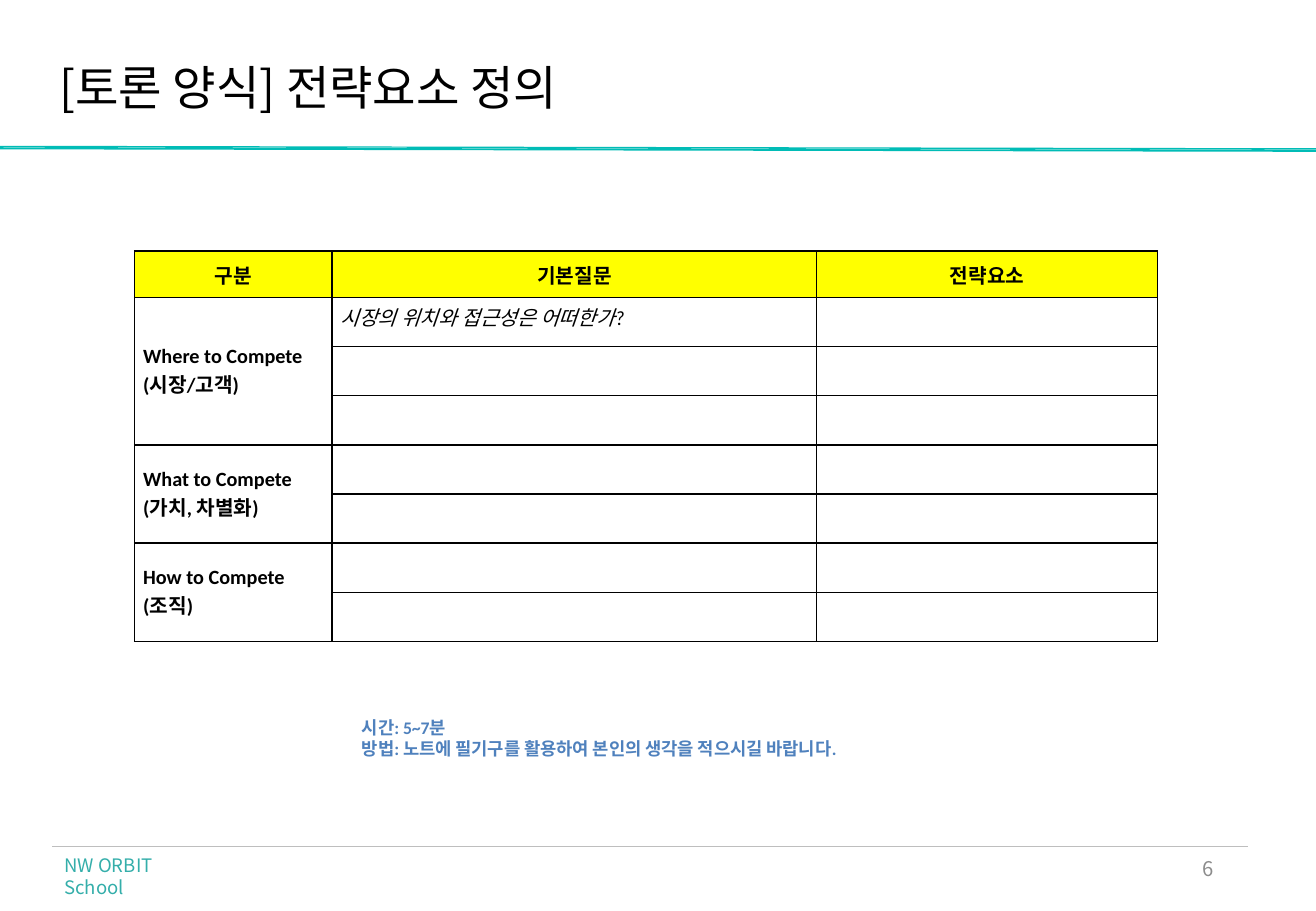
from dataclasses import dataclass

import pptx
import pptx.dml.color
import pptx.enum.shapes
import pptx.enum.text
import pptx.oxml
import pptx.oxml.ns
import pptx.util
from lxml import etree

Pt = pptx.util.Pt
qn = pptx.oxml.ns.qn
PP_ALIGN = pptx.enum.text.PP_ALIGN
MSO_ANCHOR = pptx.enum.text.MSO_ANCHOR
MSO_AUTO_SIZE = pptx.enum.text.MSO_AUTO_SIZE


@dataclass(frozen=True)
class Style:
    size: float
    color: str
    latin: str = "Noto Sans CJK KR"
    east: str = "Noto Sans CJK KR"
    bold: bool = False
    italic: bool = False


@dataclass(frozen=True)
class Theme:
    ribbon: str = "01BCB6"
    rule: str = "BEBEBE"
    border: str = "000000"
    header_fill: str = "FFFF00"
    title: Style = Style(28, "000000")
    footer: Style = Style(11, "34AEAA")
    number: Style = Style(12, "8C8C8C")
    strong: Style = Style(12, "000000", "Calibri", bold=True)
    question: Style = Style(12, "000000", "Calibri", italic=True)
    note: Style = Style(10.5, "4F81BD", "Calibri", "Calibri", bold=True)


@dataclass(frozen=True)
class TextBox:
    lines: tuple[str, ...]
    style: Style
    left: float
    top: float
    width: float
    height: float
    align: PP_ALIGN = PP_ALIGN.LEFT
    anchor: MSO_ANCHOR = MSO_ANCHOR.TOP
    inset: tuple[float, float] = (7.2, 3.6)
    spacing: float = 1.0
    grow: bool = True


@dataclass(frozen=True)
class Group:
    lines: tuple[str, str]
    questions: tuple[str, ...]


THEME = Theme()
WIDTH, HEIGHT = 780, 540
RIBBONS = ((87.3, 88.5, 90, 89), (86.4, 87.1, 88.7, 87.9))
TABLE_LEFT, TABLE_TOP = 79.8, 148.8
COLUMNS = (117.1, 287.2, 202.1)
HEADER_HEIGHT, ROW_HEIGHT = 27.5, 29.15
CELL_INSET = (5.1, 2.9)
HEADERS = ("구분", "기본질문", "전략요소")
GROUPS = (
    Group(("Where to Compete", "(시장/고객)"), ("시장의 위치와 접근성은 어떠한가?", "", "")),
    Group(("What to Compete", "(가치, 차별화)"), ("", "")),
    Group(("How to Compete", "(조직)"), ("", "")),
)
TEXT_BOXES = (
    TextBox(("6",), THEME.number, 550.8, 500.4, 175.7, 28.8,
            PP_ALIGN.RIGHT, MSO_ANCHOR.MIDDLE, grow=False),
    TextBox(("NW ORBIT School",), THEME.footer, 31, 502.6, 101, 20.9),
    TextBox(("[토론 양식] 전략요소 정의",), THEME.title, 35.3, 38.2, 704.2, 30.2,
            inset=(0, 0), spacing=0.9),
    TextBox(("시간: 5~7분", "방법: 노트에 필기구를 활용하여 본인의 생각을 적으시길 바랍니다."),
            THEME.note, 207.4, 421.2, 390.2, 32.4),
)


def rgb(color: str) -> pptx.dml.color.RGBColor:
    return pptx.dml.color.RGBColor.from_string(color)


def write(tf, lines: tuple[str, ...], style: Style,
          align: PP_ALIGN = PP_ALIGN.LEFT, spacing: float = 1.0) -> None:
    for i, line in enumerate(lines):
        p = tf.paragraphs[0] if i == 0 else tf.add_paragraph()
        p.alignment = align
        p.line_spacing = spacing
        if line:
            p.add_run().text = line
        font = p.font
        font.size = Pt(style.size)
        font.bold = style.bold
        font.italic = style.italic
        font.color.rgb = rgb(style.color)
        font.name = style.latin
        props = p._p.pPr.find(qn("a:defRPr"))
        etree.SubElement(props, qn("a:ea"), typeface=style.east)


def set_insets(target, inset: tuple[float, float]) -> None:
    target.margin_left = target.margin_right = Pt(inset[0])
    target.margin_top = target.margin_bottom = Pt(inset[1])


def add_text(s, box: TextBox) -> None:
    sp = s.shapes.add_textbox(Pt(box.left), Pt(box.top), Pt(box.width), Pt(box.height))
    tf = sp.text_frame
    tf.word_wrap = True
    tf.auto_size = MSO_AUTO_SIZE.SHAPE_TO_FIT_TEXT if box.grow else MSO_AUTO_SIZE.NONE
    tf.vertical_anchor = box.anchor
    set_insets(tf, box.inset)
    write(tf, box.lines, box.style, box.align, box.spacing)


def add_ribbon(s) -> None:
    builder = None
    for top_left, bottom_left, bottom_right, top_right in RIBBONS:
        if builder is None:
            builder = s.shapes.build_freeform(0, Pt(top_left))
        else:
            builder.move_to(0, Pt(top_left))
        corners = ((0, bottom_left), (WIDTH, bottom_right), (WIDTH, top_right))
        builder.add_line_segments([(Pt(x), Pt(y)) for x, y in corners], close=True)
    sp = builder.convert_to_shape()
    sp.shadow.inherit = False
    sp.fill.solid()
    sp.fill.fore_color.rgb = rgb(THEME.ribbon)
    sp.line.fill.background()


def add_footer_rule(s) -> None:
    sp = s.shapes.add_connector(pptx.enum.shapes.MSO_CONNECTOR.STRAIGHT,
                                Pt(31), Pt(501.8), Pt(739.7), Pt(501.8))
    sp.line.color.rgb = rgb(THEME.rule)
    sp.line.width = Pt(0.5)
    etree.SubElement(sp._element.spPr, qn("a:effectLst"))


def format_cell(cell, fill: str = "") -> None:
    set_insets(cell, CELL_INSET)
    props = cell._tc.get_or_add_tcPr()
    for side in ("lnL", "lnR", "lnT", "lnB"):
        ln = etree.SubElement(props, qn(f"a:{side}"), w=str(Pt(1)))
        solid = etree.SubElement(ln, qn("a:solidFill"))
        etree.SubElement(solid, qn("a:srgbClr"), val=THEME.border)
    if fill:
        cell.fill.solid()
        cell.fill.fore_color.rgb = rgb(fill)
    else:
        cell.fill.background()


def add_strategy_table(s) -> None:
    row_count = sum(len(group.questions) for group in GROUPS)
    table = s.shapes.add_table(
        row_count + 1, len(COLUMNS), Pt(TABLE_LEFT), Pt(TABLE_TOP),
        Pt(sum(COLUMNS)), Pt(HEADER_HEIGHT + row_count * ROW_HEIGHT)).table
    table.first_row = table.horz_banding = False
    for column, width in zip(table.columns, COLUMNS):
        column.width = Pt(width)
    for i, row in enumerate(table.rows):
        row.height = Pt(ROW_HEIGHT if i else HEADER_HEIGHT)
        for cell in row.cells:
            format_cell(cell, "" if i else THEME.header_fill)
    for cell, header in zip(table.rows[0].cells, HEADERS):
        cell.vertical_anchor = MSO_ANCHOR.MIDDLE
        write(cell.text_frame, (header,), THEME.strong, PP_ALIGN.CENTER)
    first = 1
    for group in GROUPS:
        last = first + len(group.questions) - 1
        label = table.cell(first, 0)
        label.merge(table.cell(last, 0))
        label.vertical_anchor = MSO_ANCHOR.MIDDLE
        write(label.text_frame, group.lines, THEME.strong)
        for i, question in enumerate(group.questions, first):
            write(table.cell(i, 1).text_frame, (question,), THEME.question)
            write(table.cell(i, 2).text_frame, ("",), THEME.question)
        first = last + 1


def main() -> None:
    prs = pptx.Presentation()
    prs.slide_width, prs.slide_height = Pt(WIDTH), Pt(HEIGHT)
    s = prs.slides.add_slide(prs.slide_layouts[6])
    add_ribbon(s)
    add_footer_rule(s)
    add_strategy_table(s)
    for box in TEXT_BOXES:
        add_text(s, box)
    prs.save("out.pptx")


if __name__ == "__main__":
    main()
